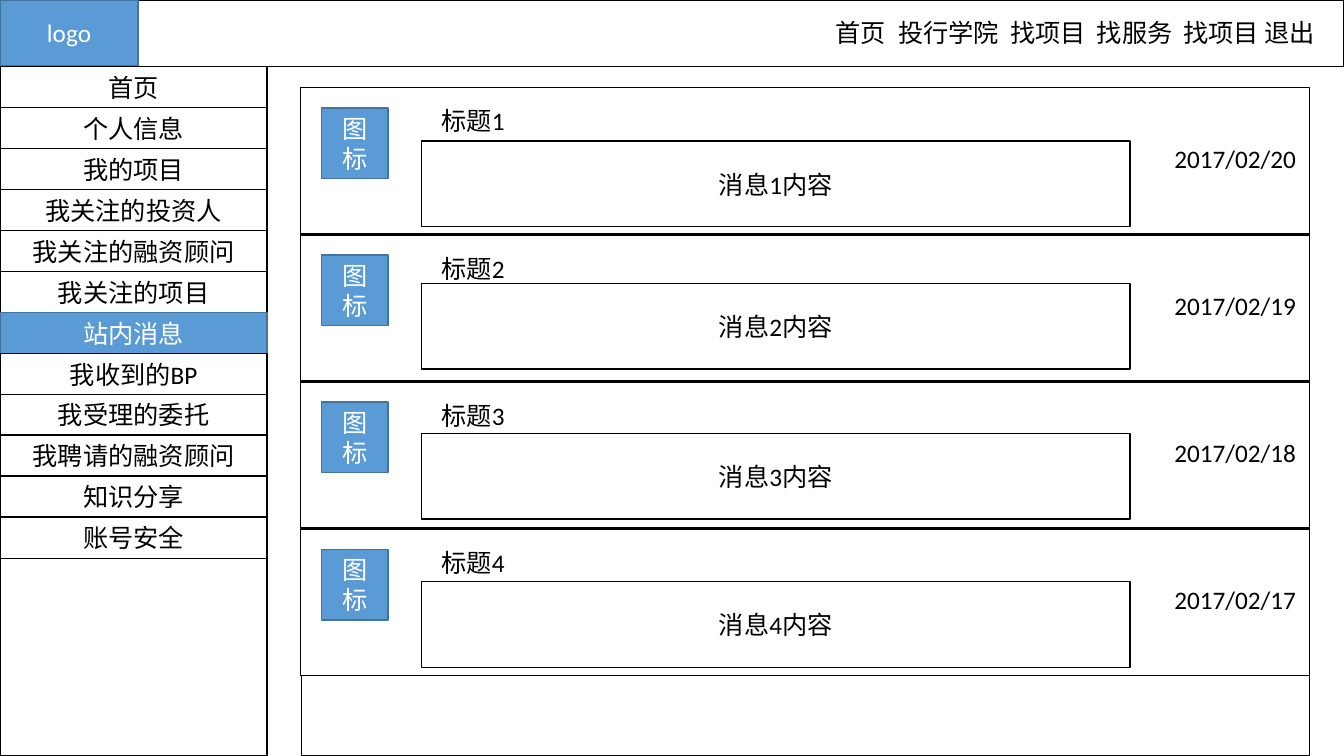
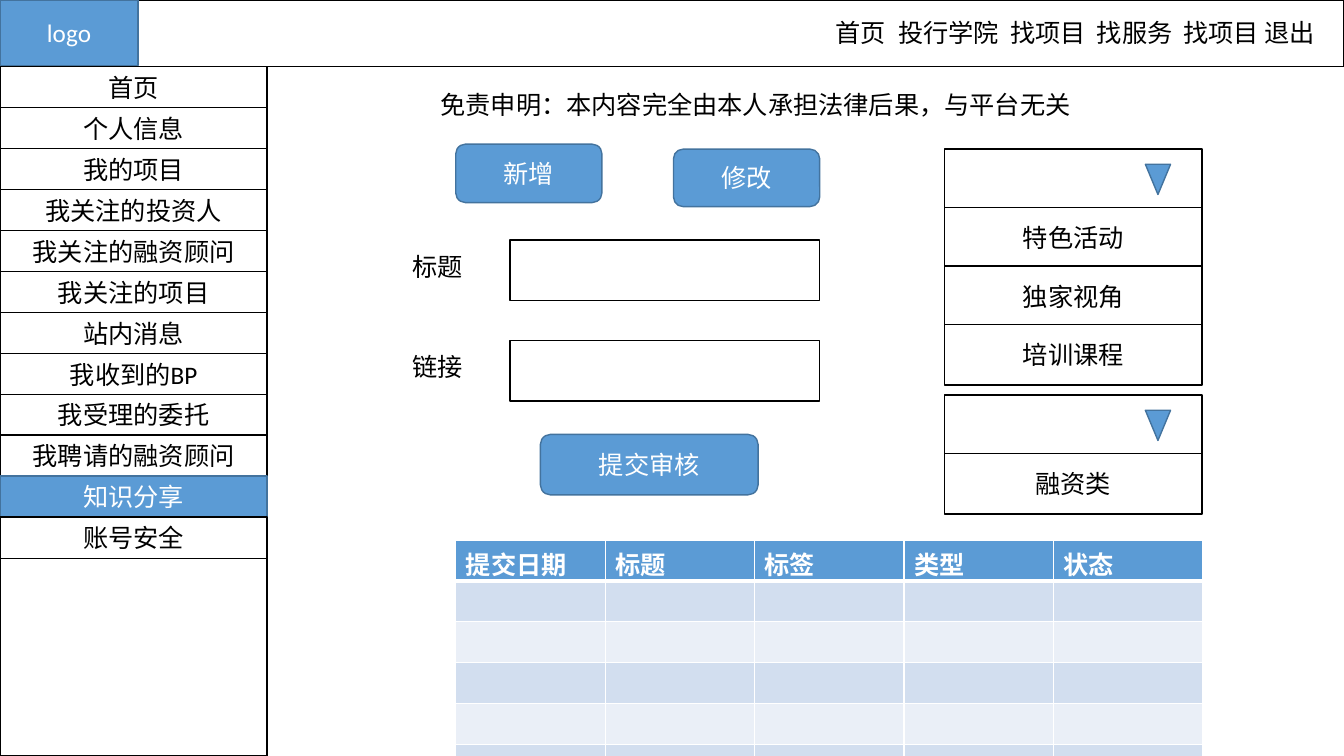
import dataclasses
import typing

import lxml.etree
import pptx
import pptx.dml.color
import pptx.enum.shapes
import pptx.enum.text
import pptx.oxml.ns
import pptx.slide
import pptx.table
import pptx.text.text
import pptx.util

Inches = pptx.util.Inches
Pt = pptx.util.Pt
Shape = pptx.enum.shapes.MSO_SHAPE
Align = pptx.enum.text.PP_ALIGN

COLORS = {
    "white": "FFFFFF",
    "black": "000000",
    "accent": "5B9BD5",
    "accent_edge": "43739E",
    "band_dark": "D2DEEF",
    "band_light": "EAEFF7",
}
FONT = "Calibri"
FONT_SIZE = 18

NAV_ITEMS = ["首页", "投行学院", "找项目", "找服务", "找项目 退出"]
NAV_STOPS = [0.62, 1.73, 2.59, 3.45]
MENU_ITEMS = [
    "首页", "个人信息", "我的项目", "我关注的投资人", "我关注的融资顾问", "我关注的项目",
    "站内消息", "我收到的BP", "我受理的委托", "我聘请的融资顾问", "知识分享", "账号安全",
]
HEADER_HEIGHT = 0.66
MENU_WIDTH = 2.65
MENU_LAST_TOP = 5.13
MENU_PITCH = (MENU_LAST_TOP - HEADER_HEIGHT) / (len(MENU_ITEMS) - 1)


class Box(typing.NamedTuple):
    left: float
    top: float
    width: float
    height: float

    def lengths(self) -> list[pptx.util.Length]:
        return [Inches(value) for value in self]


class Look(typing.NamedTuple):
    fill: str
    edge: str
    ink: str


PLAIN = Look("white", "black", "black")
ACCENT = Look("accent", "accent_edge", "white")


@dataclasses.dataclass(frozen=True)
class Message:
    number: int
    date: str
    body_top: float


@dataclasses.dataclass(frozen=True)
class Button:
    label: str
    box: Box


@dataclasses.dataclass(frozen=True)
class Field:
    label: str
    top: float


@dataclasses.dataclass(frozen=True)
class Dropdown:
    top: float
    options: tuple[str, ...]


MESSAGES = [
    Message(1, "2017/02/20", 1.4),
    Message(2, "2017/02/19", 2.81),
    Message(3, "2017/02/18", 4.3),
    Message(4, "2017/02/17", 5.77),
]
MESSAGE_TOP = 0.87
MESSAGE_PITCH = 1.46

BUTTONS = [
    Button("新增", Box(4.52, 1.43, 1.45, 0.58)),
    Button("修改", Box(6.68, 1.48, 1.45, 0.57)),
    Button("提交审核", Box(5.36, 4.31, 2.16, 0.6)),
]
FIELDS = [Field("标题", 2.38), Field("链接", 3.38)]
DROPDOWNS = [
    Dropdown(1.48, ("特色活动", "独家视角", "培训课程")),
    Dropdown(3.92, ("融资类",)),
]
OPTION_PITCH = 0.58
RECORD_HEADINGS = ["提交日期", "标题", "标签", "类型", "状态"]
RECORD_ROWS = 6


def rgb(name: str) -> pptx.dml.color.RGBColor:
    return pptx.dml.color.RGBColor.from_string(COLORS[name])


def format_runs(paragraph: pptx.text.text._Paragraph, ink: str, bold: bool = False) -> None:
    for run in paragraph.runs:
        run.font.name = FONT
        run.font.size = Pt(FONT_SIZE)
        run.font.bold = bold
        run.font.color.rgb = rgb(ink)


def add_block(
    slide: pptx.slide.Slide,
    box: Box,
    text: str = "",
    look: Look = PLAIN,
    outline: Shape = Shape.RECTANGLE,
) -> None:
    block = slide.shapes.add_shape(outline, *box.lengths())
    block.shadow.inherit = False
    block.fill.solid()
    block.fill.fore_color.rgb = rgb(look.fill)
    block.line.color.rgb = rgb(look.edge)
    block.line.width = Pt(1)
    if text:
        block.text_frame.text = text
        block.text_frame.vertical_anchor = pptx.enum.text.MSO_ANCHOR.MIDDLE
        paragraph = block.text_frame.paragraphs[0]
        paragraph.alignment = Align.CENTER
        format_runs(paragraph, look.ink)


def add_label(
    slide: pptx.slide.Slide, box: Box, text: str, wrap: bool = True
) -> pptx.text.text._Paragraph:
    frame = slide.shapes.add_textbox(*box.lengths()).text_frame
    frame.text = text
    frame.word_wrap = wrap
    frame.auto_size = pptx.enum.text.MSO_AUTO_SIZE.SHAPE_TO_FIT_TEXT
    format_runs(frame.paragraphs[0], "black")
    return frame.paragraphs[0]


def set_tab_stops(paragraph: pptx.text.text._Paragraph, stops: list[float]) -> None:
    qn = pptx.oxml.ns.qn
    properties = paragraph._p.get_or_add_pPr()
    tab_list = lxml.etree.SubElement(properties, qn("a:tabLst"))
    for stop in stops:
        lxml.etree.SubElement(tab_list, qn("a:tab"), pos=str(Inches(stop)), algn="l")


def set_borders(cell: pptx.table._Cell, bottom_width: float) -> None:
    qn = pptx.oxml.ns.qn
    properties = cell._tc.get_or_add_tcPr()
    for side, width in (("L", 1), ("R", 1), ("T", 1), ("B", bottom_width)):
        border = lxml.etree.SubElement(properties, qn(f"a:ln{side}"), w=str(Pt(width)))
        fill = lxml.etree.SubElement(border, qn("a:solidFill"))
        lxml.etree.SubElement(fill, qn("a:srgbClr"), val=COLORS["white"])


def add_page(deck: pptx.presentation.Presentation, current: str) -> pptx.slide.Slide:
    slide = deck.slides.add_slide(deck.slide_layouts[6])
    add_block(slide, Box(0, 0, 13.33, HEADER_HEIGHT))
    add_block(slide, Box(0, 0, 1.37, 0.65), "logo", ACCENT)
    nav = add_label(slide, Box(8.19, 0.12, 5.14, 0.4), "\t".join(NAV_ITEMS))
    set_tab_stops(nav, NAV_STOPS)
    add_block(slide, Box(0, HEADER_HEIGHT, MENU_WIDTH, 7.5 - HEADER_HEIGHT))
    for index, item in enumerate(MENU_ITEMS):
        top = HEADER_HEIGHT + index * MENU_PITCH
        look = ACCENT if item == current else PLAIN
        add_block(slide, Box(0, top, MENU_WIDTH, 0.41), item, look)
    return slide


def add_message(slide: pptx.slide.Slide, message: Message) -> None:
    top = MESSAGE_TOP + (message.number - 1) * MESSAGE_PITCH
    add_block(slide, Box(2.98, top, 10.01, 1.45))
    add_block(slide, Box(3.19, top + 0.2, 0.66, 0.7), "图标", ACCENT)
    add_label(slide, Box(4.28, top + 0.13, 2.96, 0.4), f"标题{message.number}")
    add_block(slide, Box(4.18, message.body_top, 7.03, 0.85), f"消息{message.number}内容")
    add_label(slide, Box(11.55, top + 0.5, 1.42, 0.4), message.date)


def add_field(slide: pptx.slide.Slide, field: Field) -> None:
    add_block(slide, Box(5.06, field.top, 3.07, 0.6))
    add_label(slide, Box(3.99, field.top + 0.06, 0.71, 0.4), field.label, wrap=False)


def add_dropdown(slide: pptx.slide.Slide, dropdown: Dropdown) -> None:
    for index, option in enumerate(("", *dropdown.options)):
        add_block(slide, Box(9.37, dropdown.top + index * OPTION_PITCH, 2.55, 0.6), option)
    arrow = Box(11.36, dropdown.top + 0.15, 0.25, 0.3)
    add_block(slide, arrow, look=ACCENT, outline=Shape.FLOWCHART_MERGE)


def add_records(slide: pptx.slide.Slide) -> None:
    box = Box(4.52, 5.36, 7.41, 2.43)
    frame = slide.shapes.add_table(RECORD_ROWS, len(RECORD_HEADINGS), *box.lengths())
    records = frame.table
    for row in range(RECORD_ROWS):
        fill = "accent" if row == 0 else "band_dark" if row % 2 else "band_light"
        for column, heading in enumerate(RECORD_HEADINGS):
            cell = records.cell(row, column)
            set_borders(cell, 3 if row == 0 else 1)
            cell.fill.solid()
            cell.fill.fore_color.rgb = rgb(fill)
            if row == 0:
                cell.text_frame.text = heading
                format_runs(cell.text_frame.paragraphs[0], "white", bold=True)


def build_messages(deck: pptx.presentation.Presentation) -> None:
    slide = add_page(deck, "站内消息")
    add_block(slide, Box(2.99, 0.88, 10, 6.62))
    for message in MESSAGES:
        add_message(slide, message)


def build_sharing(deck: pptx.presentation.Presentation) -> None:
    slide = add_page(deck, "知识分享")
    disclaimer = "免责申明：本内容完全由本人承担法律后果，与平台无关"
    add_label(slide, Box(4.27, 0.84, 6.51, 0.4), disclaimer, wrap=False)
    for button in BUTTONS:
        add_block(slide, button.box, button.label, ACCENT, Shape.ROUNDED_RECTANGLE)
    for field in FIELDS:
        add_field(slide, field)
    for dropdown in DROPDOWNS:
        add_dropdown(slide, dropdown)
    add_records(slide)


def main() -> None:
    deck = pptx.Presentation()
    deck.slide_width = Inches(13.33)
    deck.slide_height = Inches(7.5)
    build_messages(deck)
    build_sharing(deck)
    deck.save("out.pptx")


if __name__ == "__main__":
    main()
